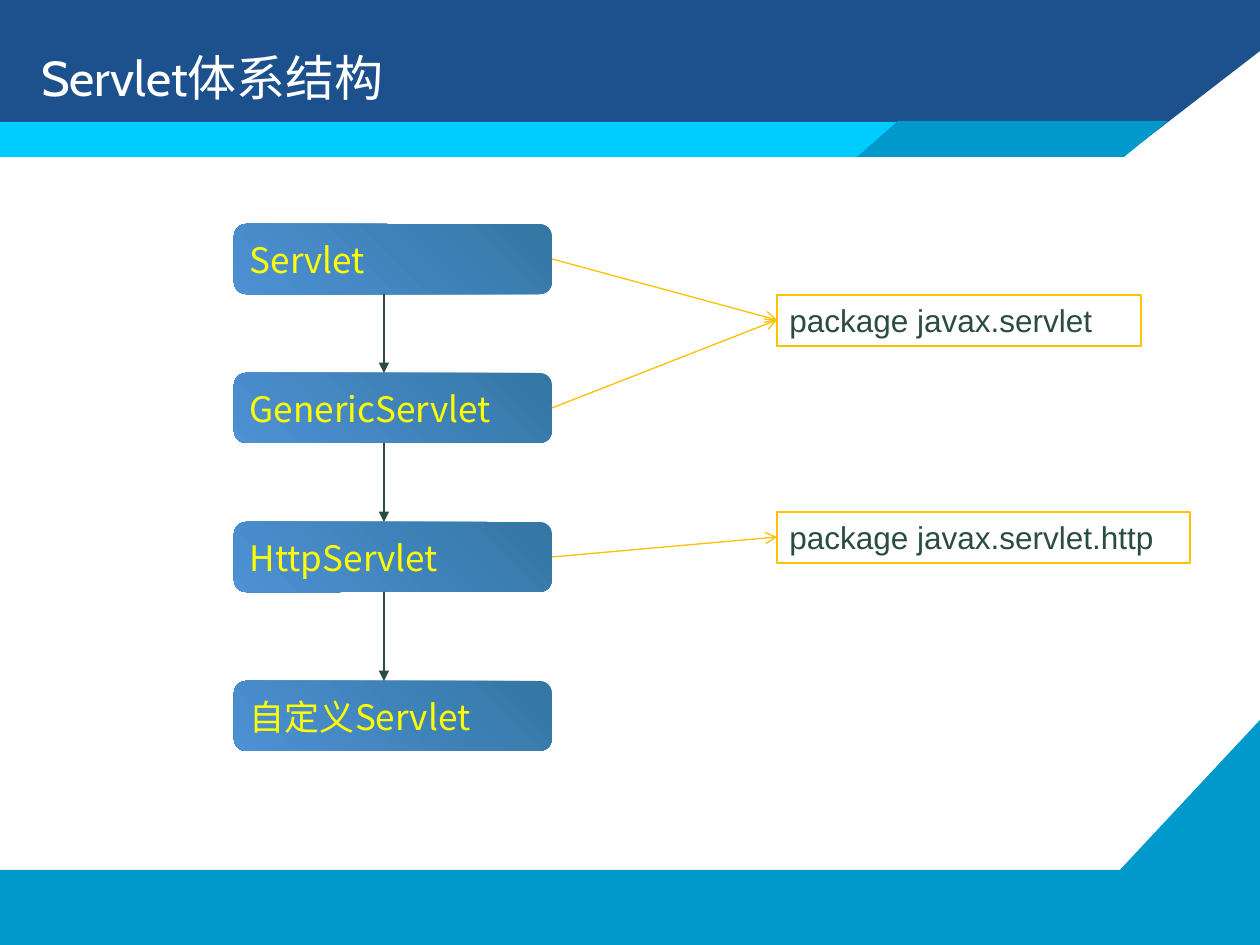
import pptx
import pptx.dml.color
import pptx.enum.shapes
import pptx.enum.text
import pptx.oxml.ns
import pptx.util
from lxml import etree

SCALE = 914400 / 126
HUES = {
    "white": "FFFFFF", "navy": "1D518D", "teal": "0099CB", "cyan": "00CCFF",
    "dark": "3477A4", "light": "4E91D4", "lemon": "FFFF00", "gold": "FFC000",
    "ink": "2A4C41",
}
CJK = "Noto Sans CJK SC"
KIND = pptx.enum.shapes.MSO_SHAPE
ANCHOR = pptx.enum.text.MSO_ANCHOR


def px(*nums):
    return [pptx.util.Emu(round(n * SCALE)) for n in nums]


def hue(name):
    return pptx.dml.color.RGBColor.from_string(HUES[name])


def paint(shape, fill):
    shape.shadow.inherit = False
    shape.fill.solid()
    shape.fill.fore_color.rgb = hue(fill)
    shape.line.fill.background()


def area(slide, fill, start, *rest):
    build = slide.shapes.build_freeform(*px(*start), scale=1.0)
    build.add_line_segments([px(*spot) for spot in rest], close=True)
    paint(build.convert_to_shape(), fill)


def block(slide, kind, fill, *place):
    shape = slide.shapes.add_shape(kind, *px(*place))
    paint(shape, fill)
    return shape


def write(shape, words, size, font, tint, anchor=ANCHOR.MIDDLE):
    frame = shape.text_frame
    frame.word_wrap = True
    frame.vertical_anchor = anchor
    para = frame.paragraphs[0]
    para.alignment = pptx.enum.text.PP_ALIGN.LEFT
    run = para.add_run()
    run.text = words
    run.font.size = pptx.util.Pt(size)
    run.font.name = font
    run.font.color.rgb = hue(tint)
    east = etree.SubElement(run.font._element, pptx.oxml.ns.qn("a:ea"))
    east.set("typeface", CJK)


def node(slide, words, *place):
    shape = block(slide, KIND.ROUNDED_RECTANGLE, "dark", *place)
    shape.adjustments[0] = 0.17
    shape.fill.gradient()
    shape.fill.gradient_angle = 225
    for stop, name in zip(shape.fill.gradient_stops, ("dark", "light")):
        stop.color.rgb = hue(name)
    write(shape, words, 20, CJK, "lemon")


def label(slide, words, *place):
    shape = block(slide, KIND.RECTANGLE, "white", *place)
    shape.line.color.rgb = hue("gold")
    shape.line.width = pptx.util.Pt(0.75)
    write(shape, words, 18, "Arial", "ink", ANCHOR.TOP)


def arrow(slide, tint, head, *ends):
    link = slide.shapes.add_connector(
        pptx.enum.shapes.MSO_CONNECTOR.STRAIGHT, *px(*ends))
    link.line.color.rgb = hue(tint)
    link.line.width = pptx.util.Pt(0.75)
    qn = pptx.oxml.ns.qn
    props = link._element.spPr
    tail = etree.SubElement(props.find(qn("a:ln")), qn("a:tailEnd"))
    tail.set("type", head)
    etree.SubElement(props, qn("a:effectLst"))


def frame(slide):
    area(slide, "teal", (0, 870), (1120, 870), (1260, 720), (1260, 945), (0, 945))
    area(slide, "navy", (0, 0), (1260, 0), (1260, 51), (1124, 156), (0, 156))
    block(slide, KIND.RECTANGLE, "cyan", 0, 122, 1063, 35)
    area(slide, "teal", (857, 157), (1124, 157), (1168, 121), (898, 121))
    title = slide.shapes.add_textbox(*px(29, 29, 935, 95))
    write(title, "Servlet体系结构", 28, "Cabin", "white")


def main():
    deck = pptx.Presentation()
    deck.slide_width, deck.slide_height = px(1260, 945)
    slide = deck.slides.add_slide(deck.slide_layouts[6])
    frame(slide)

    left, wide, tall = 234, 318, 70
    right, mid = left + wide, 384
    tops = [224, 373, 522, 681]
    names = ["Servlet", "GenericServlet", "HttpServlet", "自定义Servlet"]
    for name, top in zip(names, tops):
        node(slide, name, left, top, wide, tall)
    for top, below in zip(tops, tops[1:]):
        arrow(slide, "ink", "triangle", mid, top + tall, mid, below)

    side, high = 777, 51
    packs = [
        ("package javax.servlet", 295, 364, tops[:2]),
        ("package javax.servlet.http", 512, 413, tops[2:3]),
    ]
    for words, top, span, froms in packs:
        label(slide, words, side, top, span, high)
        for start in froms:
            arrow(slide, "gold", "arrow",
                  right, start + tall // 2, side, top + high // 2)

    deck.save("out.pptx")


if __name__ == "__main__":
    main()
